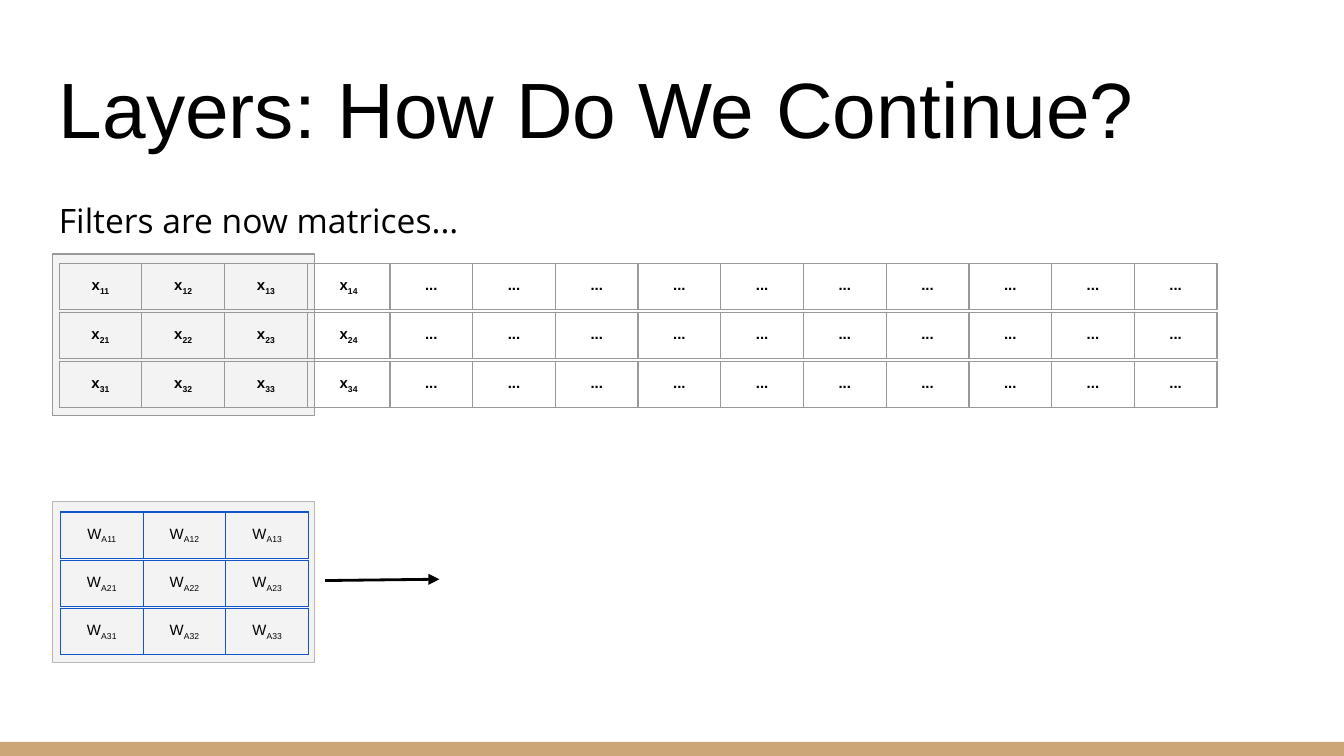
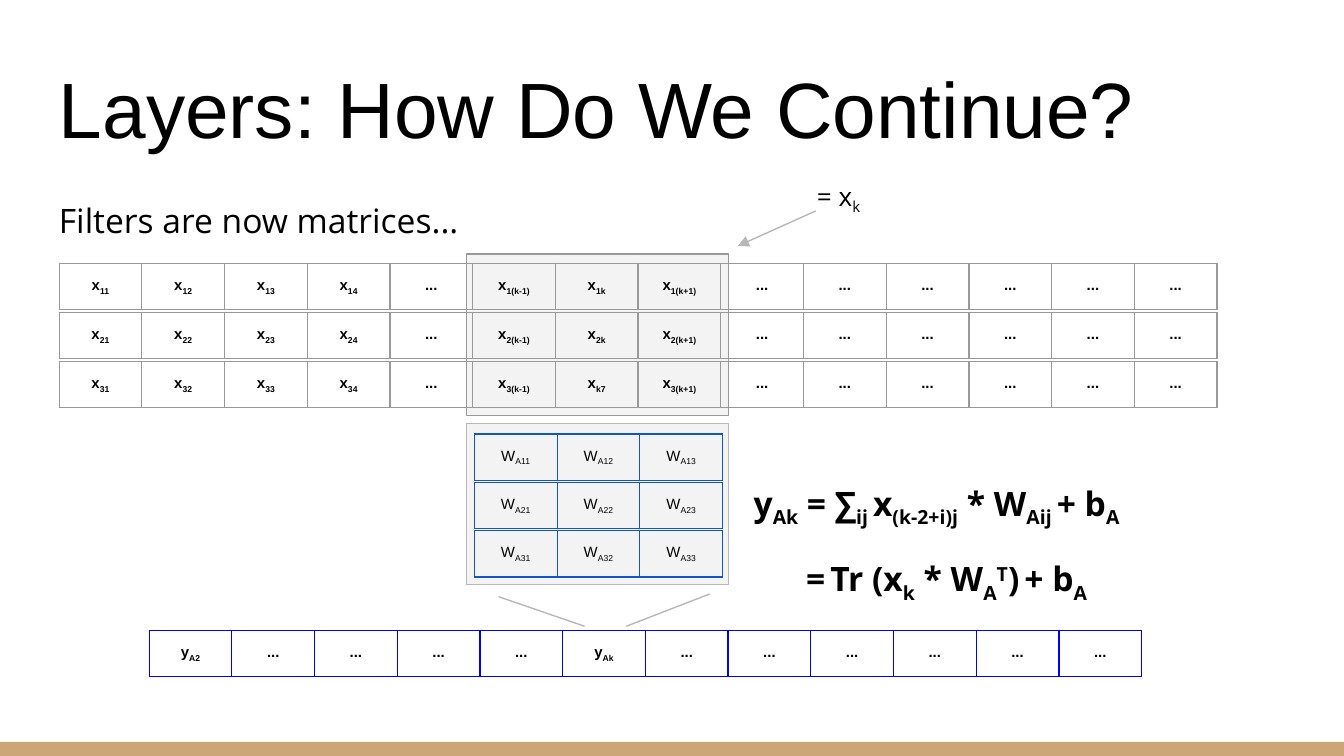
from lxml import etree
from pptx import Presentation
from pptx.dml.color import RGBColor
from pptx.enum.shapes import MSO_CONNECTOR, MSO_SHAPE
from pptx.enum.text import MSO_ANCHOR as Anchor, PP_ALIGN as Align
from pptx.oxml.ns import qn
from pptx.util import Inches, Pt

COLOURS = {
    "text": "000000", "band": "CCA677", "window": "F3F3F3",
    "input": "999999", "filter": "1155CC", "output": "0000FF", "pale": "B7B7B7",
}
COLUMN = 8.62 / 14
ROW = 0.34
INPUT_PITCH = 0.73 / 2
FILTER_PITCH = 0.36
MARGIN = Inches(0.1)


def write(frame, text, size=18, font="Open Sans", bold=False, align=Align.LEFT,
          anchor=Anchor.TOP, line_spacing=None, gap=0, indent=0):
    """Fill a frame; {..} marks a subscript and {^..} a superscript.

    gap and indent apply to every paragraph after the first.
    """
    frame.word_wrap = True
    frame.vertical_anchor = anchor
    for index, line in enumerate(text.split("\n")):
        para = frame.add_paragraph() if index else frame.paragraphs[0]
        para.alignment = align
        if line_spacing:
            para.line_spacing = line_spacing
        if index:
            para.space_before = Pt(gap)
            para._p.get_or_add_pPr().set("marL", str(Inches(indent)))
        for part, piece in enumerate(line.replace("}", "{").split("{")):
            if not piece:
                continue
            span = para.add_run()
            span.text = piece.lstrip("^")
            span.font.size = Pt(size)
            span.font.name = font
            span.font.bold = bold
            span.font.color.rgb = RGBColor.from_string(COLOURS["text"])
            if part % 2:
                baseline = "30000" if piece.startswith("^") else "-25000"
                span.font._element.set("baseline", baseline)


def add_row(page, labels, left, top, colour, bold=True):
    """Add a one-row table with outlined, unfilled cells."""
    table = page.shapes.add_table(
        1, len(labels), Inches(left), Inches(top),
        Inches(COLUMN * len(labels)), Inches(ROW)).table
    table.first_row = table.horz_banding = False
    table.rows[0].height = Inches(ROW)
    for column, label in enumerate(labels):
        table.columns[column].width = Inches(COLUMN)
        cell = table.cell(0, column)
        cell.margin_left = cell.margin_right = MARGIN
        cell.margin_top = cell.margin_bottom = MARGIN
        write(cell.text_frame, label, size=8, font="Arial", bold=bold, align=Align.CENTER)
        properties = cell._tc.get_or_add_tcPr()
        for side in ("a:lnL", "a:lnR", "a:lnT", "a:lnB"):
            border = etree.SubElement(properties, qn(side), w=str(Pt(0.75)))
            fill = etree.SubElement(border, qn("a:solidFill"))
            etree.SubElement(fill, qn("a:srgbClr"), val=COLOURS[colour])
        cell.fill.background()


# What differs between the slides
start = {
    "window": 0.39, "filter_top": 3.73,
    "middle": [["..."] * 3] * 3,
    "output": [],
    "texts": [],
    # from x, from y, to x, to y, colour, width, arrowhead
    "lines": [(2.42, 4.32, 3.27, 4.31, "text", 1.5, True)],
}
general = {
    "window": 3.47, "filter_top": 3.15,
    "middle": [["x{1(k-1)}", "x{1k}", "x{1(k+1)}"],
               ["x{2(k-1)}", "x{2k}", "x{2(k+1)}"],
               ["x{3(k-1)}", "x{k7}", "x{3(k+1)}"]],
    "output": ["y{A2}"] + ["..."] * 4 + ["y{Ak}"] + ["..."] * 6,
    "texts": [
        (5.51, 3.49, 3.67, 0.91,
         "y{Ak} = ∑{ij }x{(k-2+i)j} * W{Aij }+ b{A}\n={ }Tr (x{k} * W{A}{^T}){ }+ b{A}",
         {"bold": True, "gap": 16, "indent": 0.39}),
        (5.98, 1.24, 0.64, 0.5, "= x{k}", {"size": 14}),
    ],
    "lines": [(3.71, 4.44, 4.35, 4.66, "pale", 0.75, False),
              (4.66, 4.66, 5.28, 4.42, "pale", 0.75, False),
              (6.07, 1.57, 5.49, 1.83, "pale", 0.75, True)],
}
# Title and lead text on both slides
shared_texts = [
    (0.34, 0.34, 9.32, 0.91, "Layers: How Do We Continue?",
     {"size": 42, "font": "Arial", "anchor": Anchor.BOTTOM}),
    (0.34, 1.34, 9.75, 0.5, "Filters are now matrices...", {"line_spacing": 1.15}),
]

deck = Presentation()
deck.slide_width = Inches(10)
deck.slide_height = deck.slide_width * 9 // 16

for step in (start, general):
    page = deck.slides.add_slide(deck.slide_layouts[6])

    # Footer band, filter frame and input window
    for left, top, width, height, fill, outline in (
            (0, 5.52, 10, 0.11, "band", None),
            (step["window"], step["filter_top"], 1.95, 1.2, "window", "pale"),
            (step["window"], 1.89, 1.95, 1.2, "window", "input")):
        box = page.shapes.add_shape(MSO_SHAPE.RECTANGLE, Inches(left), Inches(top),
                                    Inches(width), Inches(height))
        box.shadow.inherit = False
        box.fill.solid()
        box.fill.fore_color.rgb = RGBColor.from_string(COLOURS[fill])
        if outline:
            box.line.color.rgb = RGBColor.from_string(COLOURS[outline])
            box.line.width = Pt(0.75)
        else:
            box.line.fill.background()

    # Filter and input matrices, one table per row
    for row in range(3):
        weights = [f"W{{A{row + 1}{column}}}" for column in (1, 2, 3)]
        add_row(page, weights, step["window"] + 0.06,
                step["filter_top"] + 0.08 + FILTER_PITCH * row, "filter", bold=False)
        inputs = [f"x{{{row + 1}{column}}}" for column in (1, 2, 3, 4)]
        add_row(page, inputs + ["..."] + step["middle"][row] + ["..."] * 6,
                0.44, 1.96 + INPUT_PITCH * row, "input")

    # Output row
    if step["output"]:
        add_row(page, step["output"], 1.11, 4.69, "output")

    # Texts
    for left, top, width, height, text, style in shared_texts + step["texts"]:
        frame = page.shapes.add_textbox(Inches(left), Inches(top),
                                        Inches(width), Inches(height)).text_frame
        frame.margin_left = frame.margin_right = MARGIN
        frame.margin_top = frame.margin_bottom = MARGIN
        write(frame, text, **style)

    # Lines and arrows
    for x1, y1, x2, y2, colour, width, arrow in step["lines"]:
        line = page.shapes.add_connector(MSO_CONNECTOR.STRAIGHT, Inches(x1), Inches(y1),
                                         Inches(x2), Inches(y2))
        line.line.color.rgb = RGBColor.from_string(COLOURS[colour])
        line.line.width = Pt(width)
        if arrow:
            etree.SubElement(line.line._get_or_add_ln(), qn("a:tailEnd"), type="triangle")
        etree.SubElement(line._element.spPr, qn("a:effectLst"))

deck.save("out.pptx")
